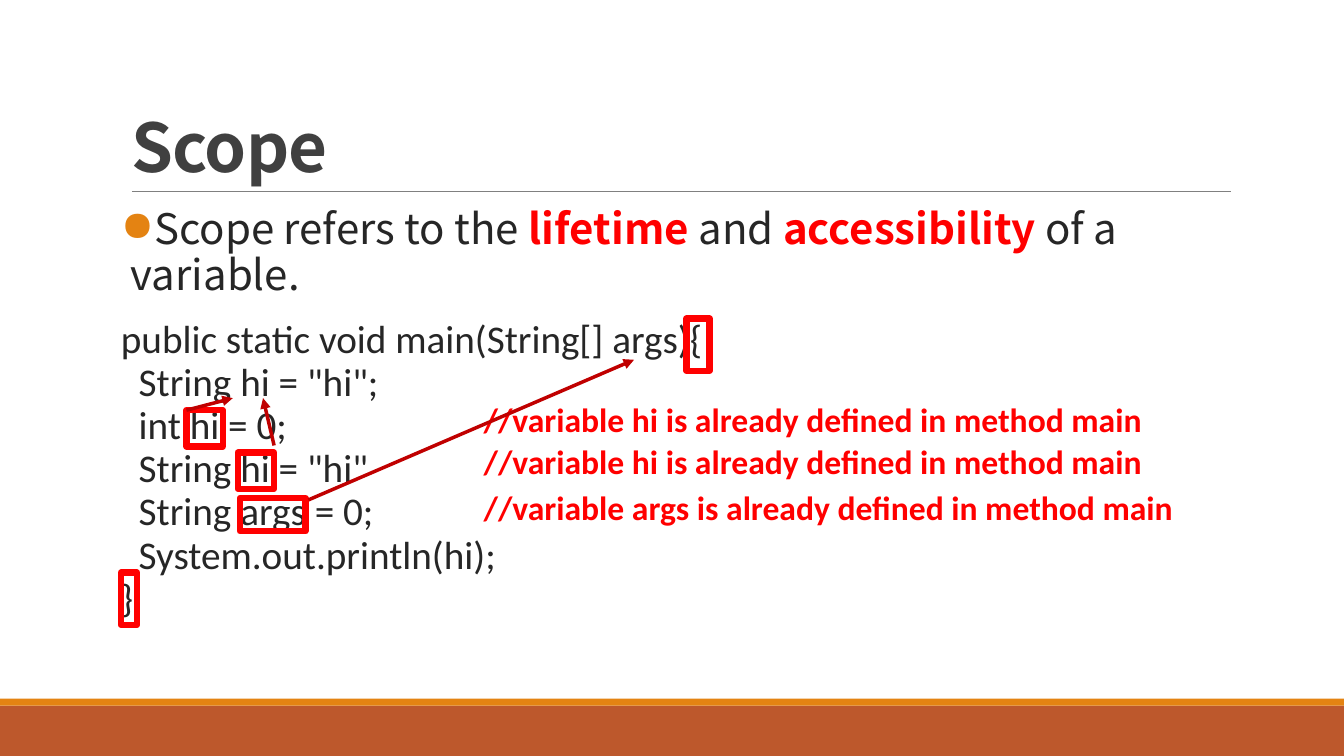
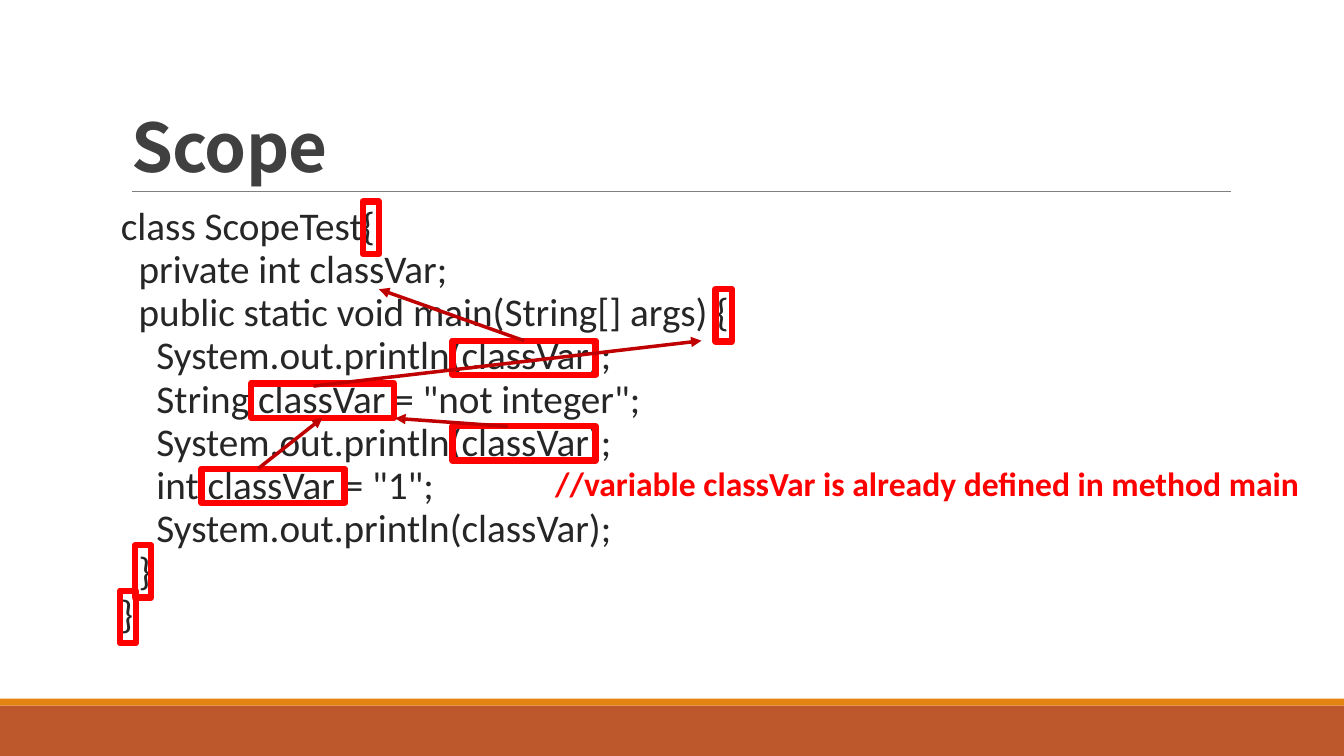
"""Build two slides on the scope of variables."""
from dataclasses import dataclass

from lxml.etree import SubElement
from pptx import Presentation
from pptx.dml.color import RGBColor
from pptx.enum.shapes import MSO_CONNECTOR, MSO_SHAPE
from pptx.enum.text import MSO_ANCHOR, MSO_AUTO_SIZE, PP_ALIGN
from pptx.oxml.ns import qn
from pptx.util import Pt


@dataclass(frozen=True)
class Theme:
    """Colours, fonts and type sizes in use."""
    footer: str = "BD582C"
    accent: str = "E48312"
    rule: str = "808080"
    heading: str = "404040"
    ink: str = "262626"
    alert: str = "FF0000"
    arrow: str = "C00000"
    prose_font: str = "Noto Sans CJK SC"
    code_font: str = "Calibri"
    title_size: int = 48
    statement_size: int = 30
    code_size: int = 28
    comment_size: int = 24


THEME = Theme()
WIDTH, HEIGHT = 960, 540
LEFT, TEXT_WIDTH = 86.4, 792
CODE_INDENT = 12.7
TOP, BOTTOM = 0, 2

TITLE_AREA = (LEFT, 22.3, TEXT_WIDTH, 114.5)
STATEMENT_AREA = (LEFT, 145.4, TEXT_WIDTH, 82.1)
BANDS = [((0, 504, WIDTH, 36), THEME.footer), ((0, 499, WIDTH, 5), THEME.accent)]
TITLE_RULE = ((94.3, 136.8), (879.1, 136.8))

CODE_SPACING = {"line_spacing": 0.5, "space_before": Pt(12), "space_after": Pt(2)}
STATEMENT_SPACING = {**CODE_SPACING, "line_spacing": 0.9}
COMMENT_SPACING = {"line_spacing": 0.5}
TITLE_SPACING = {"line_spacing": 0.85, "alignment": PP_ALIGN.LEFT}
FLUSH = {"margin_left": 0, "margin_right": 0, "word_wrap": True}

BRACE = (11.5, 37.4)
NAME = (102.2, 24.5)
NAME_TOP, NAME_PITCH = 243.4, 30.5


def name_mark(left, row):
    """Return the frame around a variable name in a given row."""
    return (left, NAME_TOP + row * NAME_PITCH, *NAME)


SLIDES = [
    {
        "title": "Scope",
        "statement": [
            ("Scope refers to the ", False), ("lifetime", True), (" and ", False),
            ("accessibility", True), (" of a variable.", False),
        ],
        "code_area": (LEFT, 235.4, TEXT_WIDTH, 210.2),
        "code": [
            (0, "public static void main(String[] args){"),
            (1, 'String hi = "hi";'),
            (1, "int hi = 0;"),
            (1, 'String hi = "hi"'),
            (1, "String args = 0;"),
            (1, "System.out.println(hi);"),
            (0, "}"),
        ],
        "comments": [
            ((338.4, 293.8, 540, 24.5), "//variable hi is already defined in method main"),
            ((338.4, 324, 540, 24.5), "//variable hi is already defined in method main"),
            ((338.4, 357.1, 540, 21.6), "//variable args is already defined in method main"),
        ],
        "marks": {
            "main opens": (490.3, 227.5, 16.6, 37.4),
            "main closes": (LEFT, 409, *BRACE),
            "int hi": (133.2, 293, 25.9, 25.9),
            "String hi": (169.9, 323.3, 25.9, 25.9),
            "String args": (171.4, 355.7, 46.8, 23.8),
        },
        "arrows": [
            ((133.2, 293), (166.3, 284.4)),
            ((195.8, 318.2), (187.9, 284.4)),
            ((220.3, 357.1), (452.9, 257)),
        ],
    },
    {
        "title": "Scope",
        "statement": [],
        "code_area": (LEFT, 154.8, TEXT_WIDTH, 286.6),
        "code": [
            (0, "class ScopeTest{"),
            (1, "private int classVar;"),
            (1, "public static void main(String[] args) {"),
            (2, "System.out.println(classVar);"),
            (2, 'String classVar = "not integer";'),
            (2, "System.out.println(classVar);"),
            (2, 'int classVar = "1";'),
            (2, "System.out.println(classVar);"),
            (1, "}"),
            (0, "}"),
        ],
        "comments": [
            ((389.5, 339.8, 562, 21.6),
             "//variable classVar is already defined in method main"),
        ],
        "marks": {
            "main closes": (96.5, 389.5, *BRACE),
            "main opens": (511.2, 206.6, *BRACE),
            "class opens": (259.2, 144, *BRACE),
            "class closes": (85.7, 421.9, *BRACE),
            "first print": name_mark(323.3, 0),
            "String classVar": name_mark(179.3, 1),
            "second print": name_mark(323.3, 2),
            "int classVar": name_mark(144, 3),
        },
        "arrows": [
            (("first print", TOP), (270.7, 206.6)),
            ((223.9, 275.8), (501.1, 243.4)),
            ((362.9, 304.6), (282.2, 298.8)),
            ((184.3, 334.8), ("String classVar", BOTTOM)),
        ],
    },
]


def points(values):
    """Convert plain numbers to point lengths."""
    return [Pt(value) for value in values]


def apply(target, values):
    """Set every attribute named in a dict."""
    for attribute, value in values.items():
        setattr(target, attribute, value)


def write(paragraph, text, font, size, colour, bold=False):
    """Add a formatted run to a paragraph."""
    run = paragraph.add_run()
    run.text = text
    apply(run.font, {"name": font, "size": Pt(size), "bold": bold})
    run.font.color.rgb = RGBColor.from_string(colour)
    return run


def indent(paragraph, margin, first_line=0):
    """Set the left margin and first-line indent of a paragraph."""
    properties = paragraph._p.get_or_add_pPr()
    properties.set("marL", str(int(Pt(margin))))
    properties.set("indent", str(int(Pt(first_line))))
    return properties


def add_rectangle(slide, area):
    """Add a rectangle without shadow."""
    rectangle = slide.shapes.add_shape(MSO_SHAPE.RECTANGLE, *points(area))
    rectangle.shadow.inherit = False
    return rectangle


def add_line(slide, start, end, colour, weight):
    """Add a straight connector without shadow."""
    line = slide.shapes.add_connector(MSO_CONNECTOR.STRAIGHT, *points((*start, *end)))
    line.line.color.rgb = RGBColor.from_string(colour)
    line.line.width = Pt(weight)
    SubElement(line.element.spPr, qn("a:effectLst"))
    return line


def add_frame(slide, title):
    """Add the bands, the title rule and the title."""
    for area, colour in BANDS:
        band = add_rectangle(slide, area)
        band.fill.solid()
        band.fill.fore_color.rgb = RGBColor.from_string(colour)
        band.line.fill.background()
    add_line(slide, *TITLE_RULE, THEME.rule, 0.5)
    heading = slide.shapes.title
    apply(heading, dict(zip(("left", "top", "width", "height"), points(TITLE_AREA))))
    apply(heading.text_frame, {"vertical_anchor": MSO_ANCHOR.BOTTOM,
                               "auto_size": MSO_AUTO_SIZE.NONE, "word_wrap": True})
    paragraph = heading.text_frame.paragraphs[0]
    apply(paragraph, TITLE_SPACING)
    run = write(paragraph, title, THEME.prose_font, THEME.title_size, THEME.heading, True)
    run.font._element.set("spc", "-50")


def add_statement(slide, parts):
    """Add the bulleted statement with its key words in red."""
    frame = slide.shapes.add_textbox(*points(STATEMENT_AREA)).text_frame
    apply(frame, FLUSH)
    paragraph = frame.paragraphs[0]
    apply(paragraph, STATEMENT_SPACING)
    properties = indent(paragraph, 7.2, -7.2)
    bullet_colour = SubElement(properties, qn("a:buClr"))
    SubElement(bullet_colour, qn("a:srgbClr"), val=THEME.accent)
    SubElement(properties, qn("a:buChar"), char="●")
    for text, key in parts:
        write(paragraph, text, THEME.prose_font, THEME.statement_size,
              THEME.alert if key else THEME.ink, key)


def add_code(slide, area, lines):
    """Add the code, one indented paragraph a line."""
    frame = slide.shapes.add_textbox(*points(area)).text_frame
    apply(frame, FLUSH)
    for number, (level, text) in enumerate(lines):
        paragraph = frame.add_paragraph() if number else frame.paragraphs[0]
        apply(paragraph, CODE_SPACING)
        indent(paragraph, level * CODE_INDENT)
        write(paragraph, text, THEME.code_font, THEME.code_size, THEME.ink)


def add_comment(slide, area, text):
    """Add a red compiler remark."""
    frame = slide.shapes.add_textbox(*points(area)).text_frame
    apply(frame, {"word_wrap": True, "auto_size": MSO_AUTO_SIZE.SHAPE_TO_FIT_TEXT})
    apply(frame.paragraphs[0], COMMENT_SPACING)
    write(frame.paragraphs[0], text, THEME.code_font, THEME.comment_size, THEME.alert, True)


def add_mark(slide, area):
    """Add a red outline around a piece of code."""
    mark = add_rectangle(slide, area)
    mark.fill.background()
    mark.line.color.rgb = RGBColor.from_string(THEME.alert)
    mark.line.width = Pt(4.5)
    return mark


def add_arrow(slide, ends, marks):
    """Add an arrow between points or joined sides of marks."""
    joined = [isinstance(place, str) for place, _ in ends]
    start, end = [(0, 0) if join else spot for join, spot in zip(joined, ends)]
    arrow = add_line(slide, start, end, THEME.arrow, 2.5)
    SubElement(arrow.element.spPr.find(qn("a:ln")), qn("a:tailEnd"), type="triangle")
    for join, spot, connect in zip(joined, ends, (arrow.begin_connect, arrow.end_connect)):
        if join:
            connect(marks[spot[0]], spot[1])


def main():
    """Build and save the presentation."""
    deck = Presentation()
    apply(deck, {"slide_width": Pt(WIDTH), "slide_height": Pt(HEIGHT)})
    for content in SLIDES:
        slide = deck.slides.add_slide(deck.slide_layouts.get_by_name("Title Only"))
        add_frame(slide, content["title"])
        if content["statement"]:
            add_statement(slide, content["statement"])
        add_code(slide, content["code_area"], content["code"])
        for area, text in content["comments"]:
            add_comment(slide, area, text)
        marks = {name: add_mark(slide, area) for name, area in content["marks"].items()}
        for ends in content["arrows"]:
            add_arrow(slide, ends, marks)
    deck.save("out.pptx")


if __name__ == "__main__":
    main()
